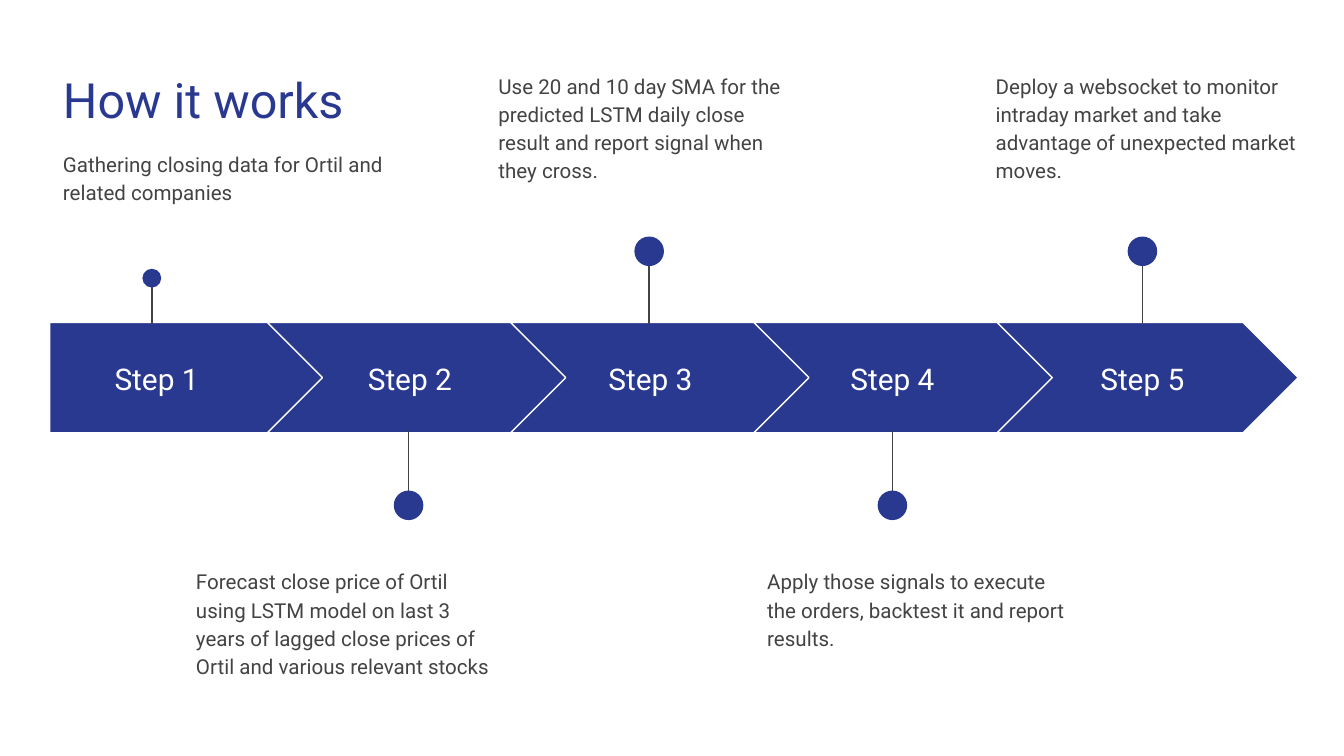
from dataclasses import dataclass

from lxml import etree
from pptx import Presentation
from pptx.dml.color import RGBColor
from pptx.enum.shapes import MSO_CONNECTOR, MSO_SHAPE
from pptx.enum.text import MSO_ANCHOR, PP_ALIGN
from pptx.oxml.ns import qn
from pptx.shapes.autoshape import Shape
from pptx.slide import Slide
from pptx.util import Inches, Pt

STRAIGHT = MSO_CONNECTOR.STRAIGHT
PLATE, CHEVRON, OVAL = MSO_SHAPE.PENTAGON, MSO_SHAPE.CHEVRON, MSO_SHAPE.OVAL
TOP, MIDDLE = MSO_ANCHOR.TOP, MSO_ANCHOR.MIDDLE
LEFT, CENTER = PP_ALIGN.LEFT, PP_ALIGN.CENTER

FONT = "Roboto"
BLUE, GRAY, WHITE = "2A3990", "434343", "FFFFFF"
BAND_TOP, BAND_HIGH = 2.4, 0.82
FIRST, PITCH = 1.99, 1.81
INSET = 0.01


@dataclass(frozen=True)
class Box:
    left: float
    top: float
    width: float
    height: float


@dataclass(frozen=True)
class Step:
    label: Box
    pin: float
    dot: float
    size: float
    note: Box
    text: str
    after: int = 16


STEPS = [
    Step(Box(0.37, 2.56, 1.59, 0.51), 1.13, 2.07, 0.14, Box(0.37, 1, 2.69, 0.99),
         "Gathering closing data for Ortil and related companies"),
    Step(Box(2.33, 2.56, 1.44, 0.51), 3.04, 3.76, 0.22, Box(1.36, 4.11, 2.45, 0.99),
         "Forecast close price of Ortil using LSTM model on last 3 years of "
         "lagged close prices of Ortil and various relevant stocks", 0),
    Step(Box(4.12, 2.56, 1.44, 0.51), 4.83, 1.87, 0.22, Box(3.61, 0.42, 2.45, 0.99),
         "Use 20 and 10 day SMA for the predicted LSTM daily close result and "
         "report signal when they cross."),
    Step(Box(5.92, 2.56, 1.44, 0.51), 6.64, 3.76, 0.22, Box(5.61, 4.11, 2.45, 0.99),
         "Apply those signals to execute the orders, backtest it and report results."),
    Step(Box(7.78, 2.56, 1.44, 0.51), 8.5, 1.87, 0.22, Box(7.31, 0.42, 2.45, 0.99),
         "Deploy a websocket to monitor intraday market and take advantage of "
         "unexpected market moves."),
]


def color(code: str) -> RGBColor:
    """Turn a hex string into a colour."""
    return RGBColor.from_string(code)


def add_form(slide: Slide, kind: MSO_SHAPE, box: Box) -> Shape:
    """Draw a flat blue shape without an outline."""
    form = slide.shapes.add_shape(
        kind, Inches(box.left), Inches(box.top), Inches(box.width), Inches(box.height))
    form.shadow.inherit = False
    form.fill.solid()
    form.fill.fore_color.rgb = color(BLUE)
    form.line.fill.background()
    return form


def add_text(slide: Slide, box: Box, text: str, size: int, tint: str,
             align: PP_ALIGN = LEFT, anchor: MSO_ANCHOR = TOP,
             space: float = 1.0, after: int = 0) -> None:
    """Place one paragraph in a wrapped text box."""
    frame = slide.shapes.add_textbox(
        Inches(box.left), Inches(box.top), Inches(box.width), Inches(box.height)).text_frame
    frame.word_wrap = True
    frame.vertical_anchor = anchor
    frame.margin_left = frame.margin_right = Inches(0.1)
    frame.margin_top = frame.margin_bottom = Inches(0.1)
    para = frame.paragraphs[0]
    para.text = text
    para.alignment = align
    para.line_spacing = space
    para.space_after = Pt(after)
    para.font.name = FONT
    para.font.size = Pt(size)
    para.font.color.rgb = color(tint)


def add_arrow(slide: Slide, index: int) -> None:
    """Draw one link of the arrow band."""
    if index == 0:
        kind, left, width = PLATE, 0.37, 2.05
    else:
        kind, left, width = CHEVRON, FIRST + PITCH * (index - 1), 2.24
    arrow = add_form(slide, kind, Box(left, BAND_TOP, width, BAND_HIGH))
    arrow.adjustments[0] = 0.5
    arrow.line.color.rgb = color(WHITE)
    arrow.line.width = Pt(0.75)


def add_pin(slide: Slide, step: Step) -> None:
    """Join a dot to the nearer edge of the arrow band."""
    above = step.dot < BAND_TOP
    edge = BAND_TOP + INSET if above else BAND_TOP + BAND_HIGH - INSET
    stem = slide.shapes.add_connector(
        STRAIGHT, Inches(step.pin), Inches(step.dot), Inches(step.pin), Inches(edge))
    stem.line.color.rgb = color(GRAY)
    stem.line.width = Pt(0.75)
    etree.SubElement(stem._element.spPr, qn("a:effectLst"))
    half = step.size / 2
    add_form(slide, OVAL, Box(step.pin - half, step.dot - half, step.size, step.size))


def main() -> None:
    """Build and save the slide."""
    deck = Presentation()
    deck.slide_width = Inches(10)
    deck.slide_height = deck.slide_width * 9 // 16
    slide = deck.slides.add_slide(deck.slide_layouts[6])
    for index, step in enumerate(STEPS):
        add_arrow(slide, index)
        add_text(slide, step.label, f"Step {index + 1}", 16, WHITE, CENTER, MIDDLE)
        add_pin(slide, step)
        add_text(slide, step.note, step.text, 11, GRAY, space=1.15, after=step.after)
    add_text(slide, Box(0.37, 0.42, 3.09, 0.64), "How it works", 26, BLUE)
    deck.save("out.pptx")


if __name__ == "__main__":
    main()
